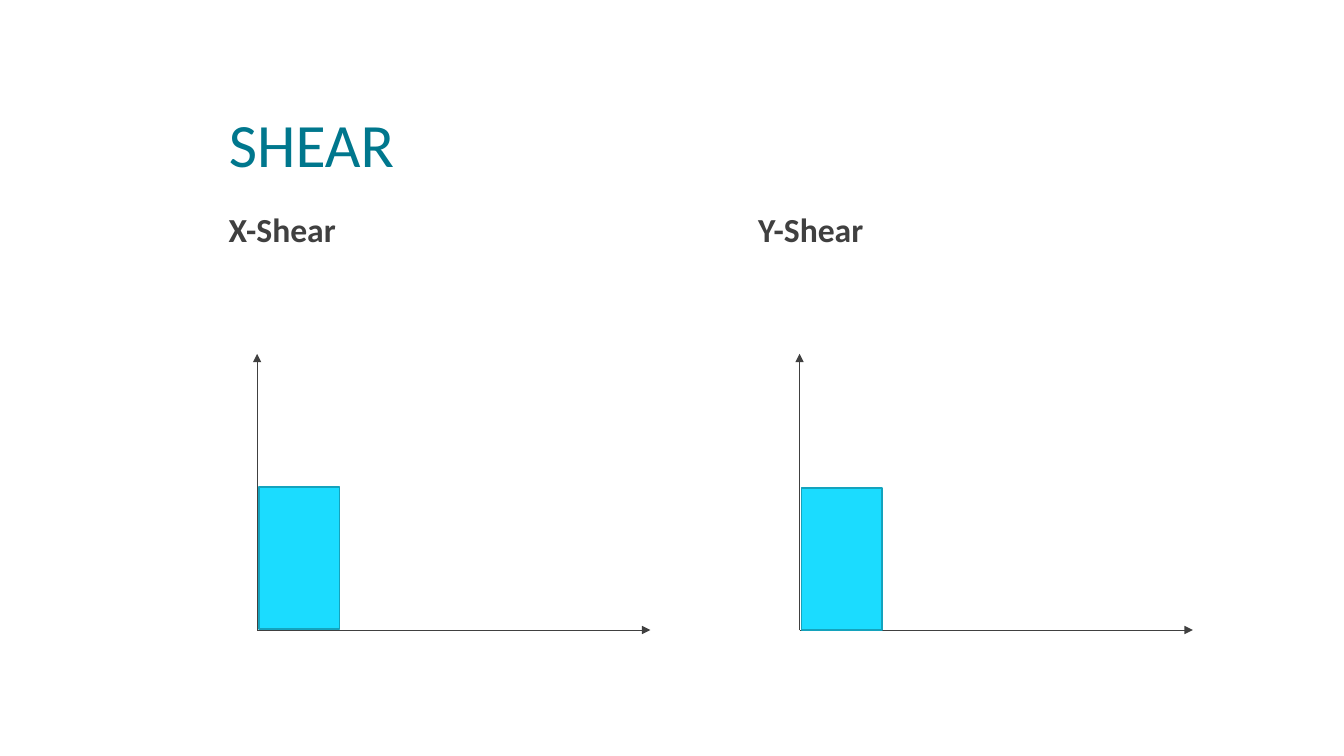
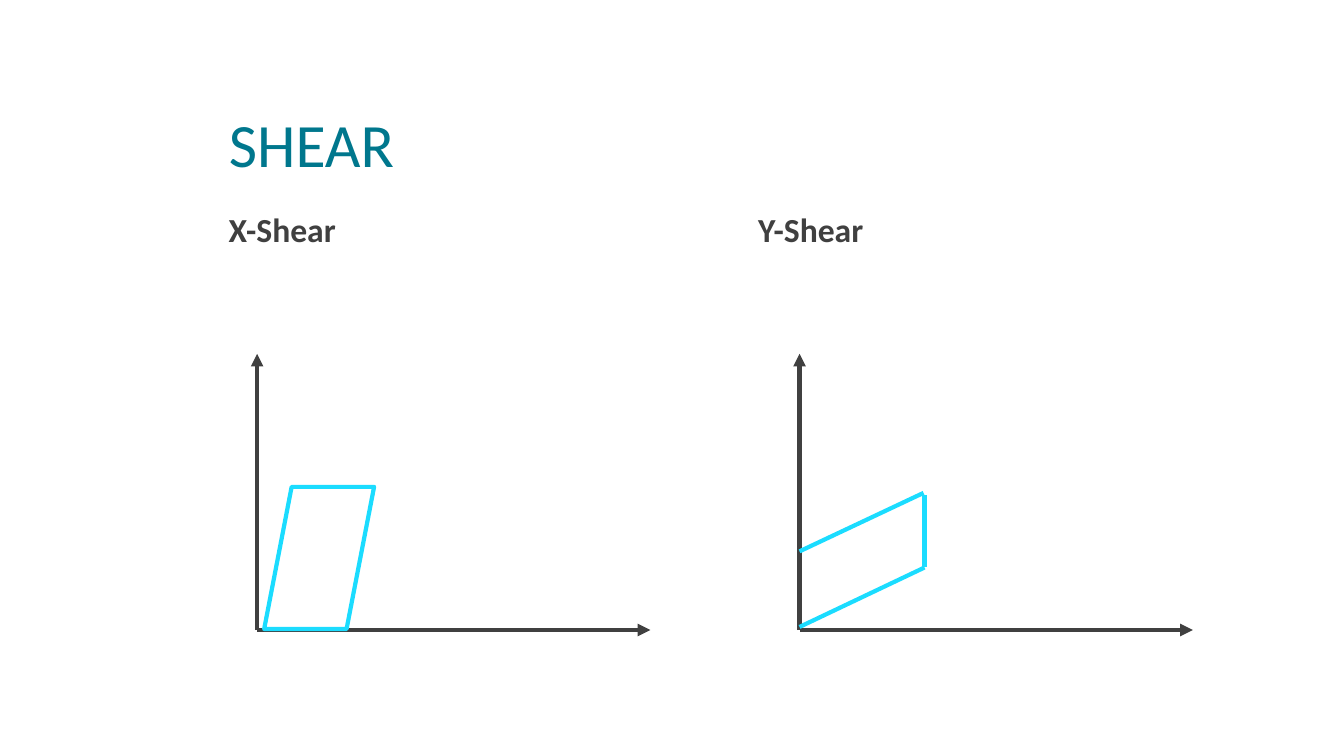
from lxml.etree import SubElement
from pptx import Presentation
from pptx.dml.color import RGBColor
from pptx.enum.shapes import MSO_CONNECTOR, MSO_SHAPE
from pptx.enum.text import MSO_ANCHOR, MSO_AUTO_SIZE, PP_ALIGN
from pptx.oxml.ns import qn
from pptx.util import Inches, Pt

FONT = "Calibri"
TEAL, DARK, CYAN, EDGE, WHITE = "00778D", "404040", "1BDCFF", "14A3BD", "FFFFFF"

TITLE = "SHEAR"
TITLE_BOX = (2.17, 0.42, 10.25, 1.42)
HEADINGS = [("X-Shear", (2.17, 1.84, 5, 0.91)), ("Y-Shear", (7.42, 1.84, 5, 0.91))]
ORIGINS = [(2.55, 6.25), (7.93, 6.25)]
AXIS_WIDTH, AXIS_HEIGHT = 3.9, 2.74

SLIDES = [
    {
        "axis_weight": 0.5,
        "shapes": [
            (MSO_SHAPE.RECTANGLE, (2.57, 4.83, 0.8, 1.41), CYAN, EDGE, 1),
            (MSO_SHAPE.RECTANGLE, (7.95, 4.84, 0.8, 1.41), CYAN, EDGE, 1),
        ],
        "edges": [],
    },
    {
        "axis_weight": 3,
        "shapes": [
            (MSO_SHAPE.PARALLELOGRAM, (2.62, 4.83, 1.09, 1.41), WHITE, CYAN, 3),
        ],
        "edges": [
            ((7.93, 6.22), (9.17, 5.63)),
            ((7.93, 5.47), (9.16, 4.89)),
            ((9.17, 4.91), (9.17, 5.63)),
        ],
    },
]


def color(value):
    return RGBColor.from_string(value)


def inches(values):
    return [Inches(v) for v in values]


def write(sp, text, size, fill, anchor, spacing, bold=False):
    tf = sp.text_frame
    tf.word_wrap = True
    tf.auto_size = MSO_AUTO_SIZE.NONE
    tf.vertical_anchor = anchor
    p = tf.paragraphs[0]
    p.alignment = PP_ALIGN.LEFT
    p.line_spacing = spacing
    r = p.add_run()
    r.text = text
    r.font.name = FONT
    r.font.size = Pt(size)
    r.font.bold = bold
    r.font.color.rgb = color(fill)


def add_titles(s):
    title = s.shapes.title
    title.left, title.top, title.width, title.height = inches(TITLE_BOX)
    write(title, TITLE, 44, TEAL, MSO_ANCHOR.BOTTOM, 0.85)
    for text, box in HEADINGS:
        sp = s.shapes.add_textbox(*inches(box))
        write(sp, text, 24, DARK, MSO_ANCHOR.MIDDLE, 0.9, bold=True)


def add_line(s, start, end, stroke, weight, arrow=False):
    line = s.shapes.add_connector(MSO_CONNECTOR.STRAIGHT, *inches(start + end))
    line.line.color.rgb = color(stroke)
    line.line.width = Pt(weight)
    if arrow:
        SubElement(line.line._get_or_add_ln(), qn("a:tailEnd"), type="triangle")
    SubElement(line._element.spPr, qn("a:effectLst"))


def add_axes(s, weight):
    for x, y in ORIGINS:
        for end in ((x + AXIS_WIDTH, y), (x, y - AXIS_HEIGHT)):
            add_line(s, (x, y), end, DARK, weight, arrow=True)


def add_shape(s, kind, box, fill, stroke, weight):
    sp = s.shapes.add_shape(kind, *inches(box))
    sp.shadow.inherit = False
    sp.fill.solid()
    sp.fill.fore_color.rgb = color(fill)
    sp.line.color.rgb = color(stroke)
    sp.line.width = Pt(weight)


def main():
    prs = Presentation()
    prs.slide_width, prs.slide_height = inches((13.33, 7.5))
    for content in SLIDES:
        s = prs.slides.add_slide(prs.slide_layouts[5])
        add_titles(s)
        add_axes(s, content["axis_weight"])
        for shape in content["shapes"]:
            add_shape(s, *shape)
        for start, end in content["edges"]:
            add_line(s, start, end, CYAN, 3)
    prs.save("out.pptx")


if __name__ == "__main__":
    main()
